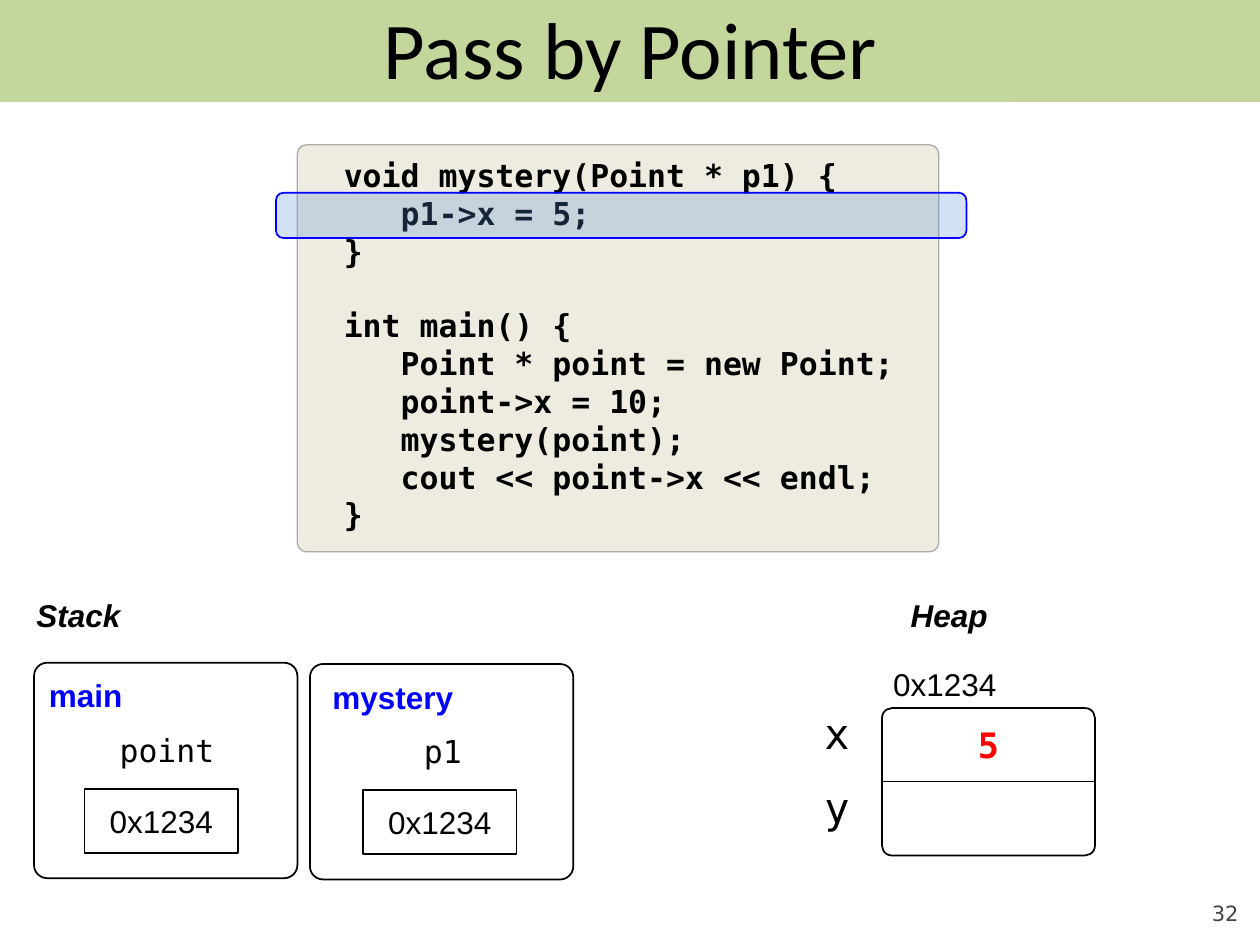
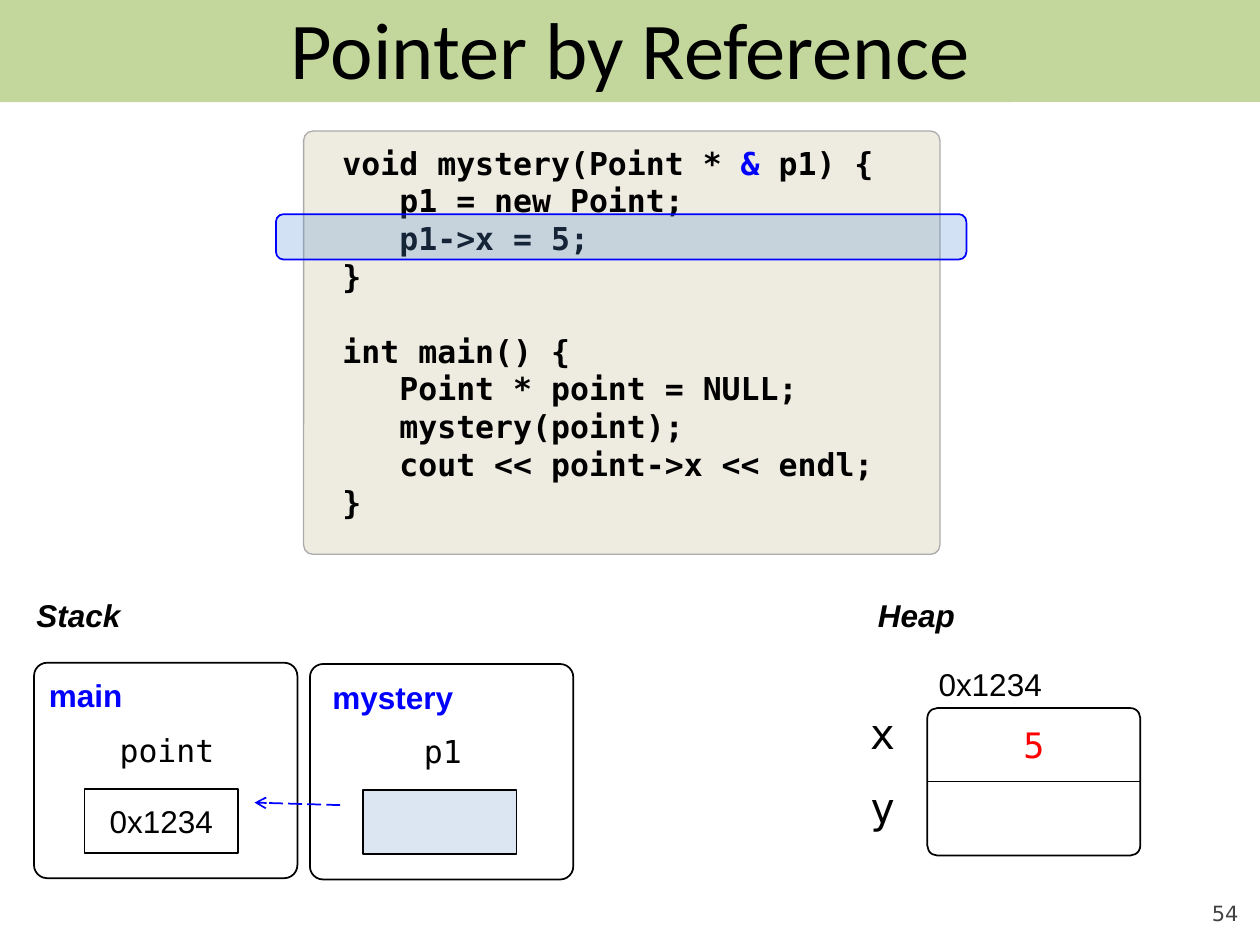
from lxml import etree
from pptx import Presentation
from pptx.dml.color import RGBColor
from pptx.enum.dml import MSO_LINE
from pptx.enum.shapes import MSO_CONNECTOR, MSO_SHAPE
from pptx.enum.text import MSO_ANCHOR, PP_ALIGN
from pptx.oxml.ns import qn
from pptx.util import Inches, Pt

RECT, ROUND = MSO_SHAPE.RECTANGLE, MSO_SHAPE.ROUNDED_RECTANGLE
STRAIGHT, DASH = MSO_CONNECTOR.STRAIGHT, MSO_LINE.LONG_DASH
LEFT, CENTER, RIGHT = PP_ALIGN.LEFT, PP_ALIGN.CENTER, PP_ALIGN.RIGHT
TOP, MIDDLE, BOTTOM = MSO_ANCHOR.TOP, MSO_ANCHOR.MIDDLE, MSO_ANCHOR.BOTTOM

COLORS = {
    "black": "000000", "band": "C3D69B", "footer": "424242",
    "code": "EEECE1", "code_line": "ABABAB", "blue": "0000FF",
    "highlight": "558ED5", "alias": "DCE6F2", "red": "FF0000",
}
SANS, MONO, TITLE, FOOTER = "Arial", "DejaVu Sans Mono", "Calibri", "DejaVu Sans"
COLS, ROWS = 100, 75
WIDTH, HEIGHT = Inches(10), Inches(7.5)
TEXT_ROW = 4


def rgb(name):
    return RGBColor.from_string(COLORS[name])


def col(n):
    return round(WIDTH * n / COLS)


def row(n):
    return round(HEIGHT * n / ROWS)


def place(box):
    x, y, w, h = box
    return col(x), row(y), col(w), row(h)


def style(r, size, font, color="black", bold=False, italic=False):
    r.font.size = Pt(size)
    r.font.name = font
    r.font.bold = bold
    r.font.italic = italic
    r.font.color.rgb = rgb(color)


def write(tf, text, size, font, align, **look):
    tf.word_wrap = True
    p = tf.paragraphs[0]
    p.text = text
    p.alignment = align
    style(p.runs[0], size, font, **look)


def label(s, box, text, size=18, font=SANS, align=LEFT, anchor=TOP, **look):
    tf = s.shapes.add_textbox(*place(box)).text_frame
    tf.vertical_anchor = anchor
    write(tf, text, size, font, align, **look)
    return tf


def block(s, kind, box, fill=None, line="black", weight=1, corner=None):
    sp = s.shapes.add_shape(kind, *place(box))
    sp.shadow.inherit = False
    if corner is not None:
        sp.adjustments[0] = corner
    if fill:
        sp.fill.solid()
        sp.fill.fore_color.rgb = rgb(fill)
    else:
        sp.fill.background()
    if line:
        sp.line.color.rgb = rgb(line)
        sp.line.width = Pt(weight)
    else:
        sp.line.fill.background()
    return sp


def connect(s, x1, y1, x2, y2, color="black", weight=0.75):
    c = s.shapes.add_connector(STRAIGHT, col(x1), row(y1), col(x2), row(y2))
    c.line.color.rgb = rgb(color)
    c.line.width = Pt(weight)
    etree.SubElement(c._element.spPr, qn("a:effectLst"))
    return c


def frame(s, title, number):
    block(s, ROUND, (0, 0, COLS, 8.1), "band", None, corner=0.001)
    label(s, (5, 0, 90, 7.5), title, 46, TITLE, CENTER, MIDDLE)
    tf = label(s, (90, 69.5, 8.3, 4), number, 12, FOOTER, RIGHT, BOTTOM, color="footer")
    tf.margin_left = tf.margin_top = tf.margin_right = tf.margin_bottom = 0


def code_panel(s, box, indent, top, code):
    x, y, w, h = box
    block(s, ROUND, box, "code", "code_line", 0.75, corner=0.022)
    tf = s.shapes.add_textbox(*place((x + indent, y + top, w - indent, h - top))).text_frame
    tf.word_wrap = True
    for i, function in enumerate(code):
        for j, text in enumerate(function.split("\n")):
            p = tf.add_paragraph() if i or j else tf.paragraphs[0]
            if i and not j:
                p.space_before = Pt(21)
            for part in filter(None, text.partition("&")):
                r = p.add_run()
                r.text = part
                style(r, 18, MONO, "blue" if part == "&" else "black", bold=True)


def highlight(s, y):
    sp = block(s, ROUND, (21.9, y, 54.8, 3.6), "highlight", "blue")
    fill = sp._element.spPr.find(qn("a:solidFill"))
    etree.SubElement(fill[0], qn("a:alpha"), val="26000")


def stack_frame(s, box, name, name_x, variable, cell_x, value):
    x, y, w, h = box
    block(s, ROUND, box, corner=0.061)
    label(s, (x + name_x, y + 0.6, w - name_x, TEXT_ROW), name, color="blue", bold=True)
    label(s, (x + 0.1, y + 4.9, w, TEXT_ROW), variable, font=MONO, align=CENTER)
    cell = block(s, RECT, (x + cell_x, y + 10, 12.2, 5.1), None if value else "alias")
    if value:
        write(cell.text_frame, value, 18, SANS, CENTER)


def stack(s, reference):
    label(s, (1.9, 46.8, 12, TEXT_ROW), "Stack", bold=True, italic=True)
    stack_frame(s, (2.7, 52.6, 20.9, 17.1), "main", 0.2, "point", 4, "0x1234")
    stack_frame(s, (24.6, 52.7, 20.9, 17.1), "mystery", 0.8, "p1", 4.2,
                None if reference else "0x1234")
    if reference:
        c = connect(s, 27, 63.9, 20.2, 63.7, "blue", 1)
        c.line.dash_style = DASH
        etree.SubElement(c.line._get_or_add_ln(), qn("a:tailEnd"), type="arrow")


def heap(s, box, title_x, bold):
    x, y, w, h = box
    half = h / 2
    label(s, (title_x, 46.8, 12, TEXT_ROW), "Heap", bold=True, italic=True)
    label(s, (x - 0.1, y - 3.9, w, TEXT_ROW), "0x1234")
    block(s, ROUND, box, corner=0.067)
    connect(s, x, y + half, x + w, y + half)
    for i, field in enumerate("xy"):
        label(s, (x - 5.55, y - 0.5 + i * half, 5, 5), field, 24, MONO)
    label(s, (x, y + 0.7, w, 4.4), "5", 20, MONO, CENTER, color="red", bold=bold)


def memory_slide(prs, title, number, code, panel, indent, top, active_y,
                 heap_x, heap_title_x, reference):
    s = prs.slides.add_slide(prs.slide_layouts[6])
    frame(s, title, number)
    stack(s, reference)
    heap(s, (heap_x, 56.2, 16.9, 11.7), heap_title_x, not reference)
    code_panel(s, panel, indent, top, code)
    highlight(s, active_y)


POINTER_CODE = ["""void mystery(Point * p1) {
   p1->x = 5;
}""", """int main() {
   Point * point = new Point;
   point->x = 10;
   mystery(point);
   cout << point->x << endl;
}"""]

REFERENCE_CODE = ["""void mystery(Point * & p1) {
   p1 = new Point;
   p1->x = 5;
}""", """int main() {
   Point * point = NULL;
   mystery(point);
   cout << point->x << endl;
}"""]


def main():
    prs = Presentation()
    prs.slide_width, prs.slide_height = WIDTH, HEIGHT
    memory_slide(prs, "Pass by Pointer", "32", POINTER_CODE,
                 panel=(23.6, 11.5, 50.9, 32.3), indent=2.7, top=0.4, active_y=15.3,
                 heap_x=70, heap_title_x=71.3, reference=False)
    memory_slide(prs, "Pointer by Reference", "54", REFERENCE_CODE,
                 panel=(24.1, 10.4, 50.5, 33.6), indent=2.1, top=0.5, active_y=17,
                 heap_x=73.6, heap_title_x=68.7, reference=True)
    prs.save("out.pptx")


if __name__ == "__main__":
    main()
